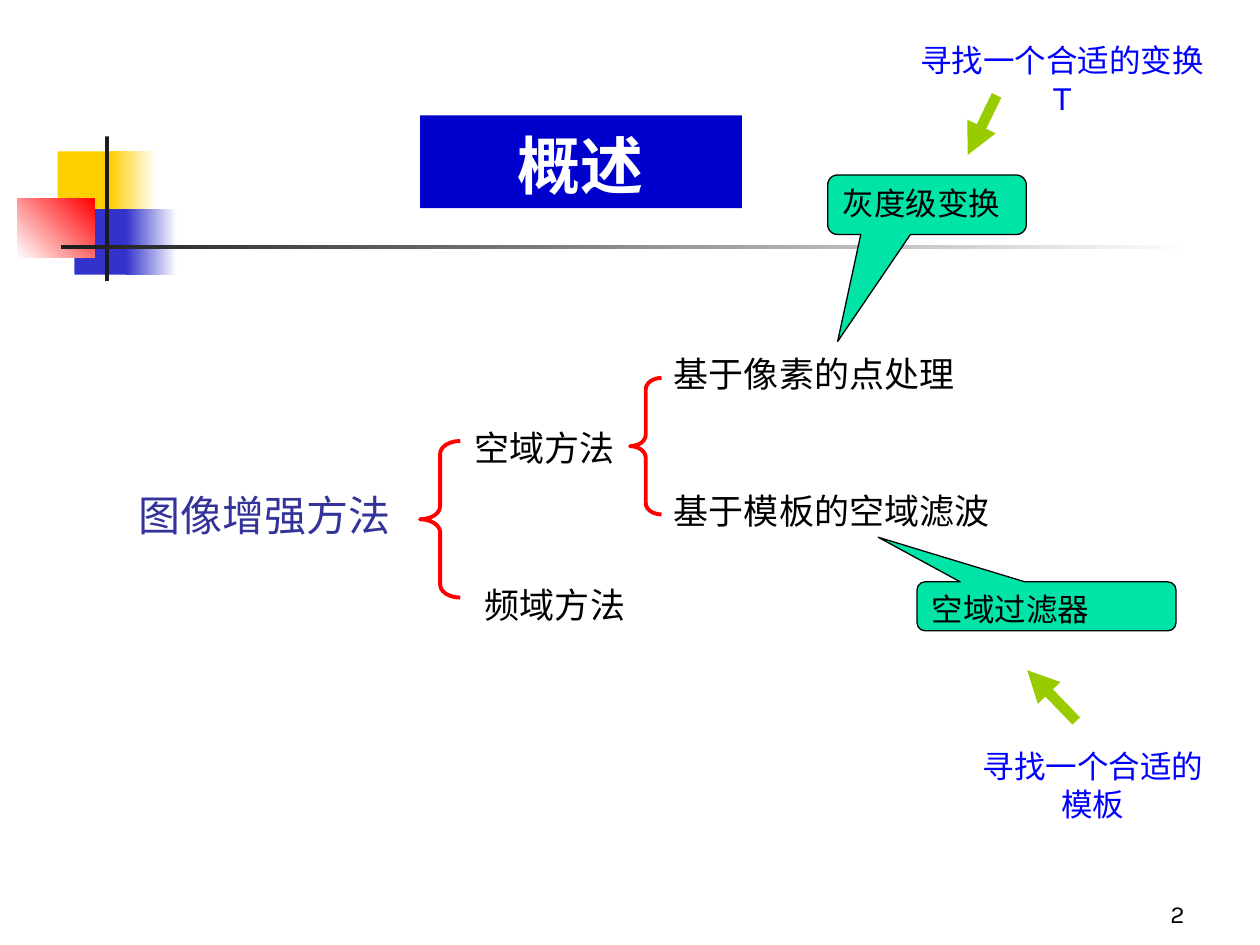
"""Build the overview slide on image enhancement methods."""
from lxml.etree import SubElement
from pptx import Presentation
from pptx.dml.color import RGBColor
from pptx.enum.shapes import MSO_CONNECTOR, MSO_SHAPE
from pptx.enum.text import MSO_ANCHOR, MSO_AUTO_SIZE, PP_ALIGN
from pptx.oxml.ns import qn
from pptx.util import Pt

SANS = "Noto Sans CJK SC"
color = RGBColor.from_string


def place(kind, box):
    shape = shapes.add_shape(kind, *map(Pt, box))
    shape.shadow.inherit = False
    return shape


def write(shape, text, size, tint, face=SANS, align=PP_ALIGN.LEFT, anchor=MSO_ANCHOR.TOP):
    frame = shape.text_frame
    frame.text = text
    frame.word_wrap = True
    frame.auto_size = MSO_AUTO_SIZE.NONE
    frame.vertical_anchor = anchor
    line = frame.paragraphs[0]
    line.alignment = align
    font = line.runs[0].font
    font.size = Pt(size)
    font.name = face
    font.color.rgb = color(tint)
    SubElement(font._element, qn("a:ea")).set("typeface", SANS)
    return line


deck = Presentation()
deck.slide_width, deck.slide_height = Pt(720), Pt(540)
slide = deck.slides.add_slide(deck.slide_layouts[5])
shapes = slide.shapes

bars = [
    ((33, 86.5, 35, 37.5), "FFCF01", None, 0),
    ((63, 86.5, 26, 37.5), "FFCF01", "FFFFFF", 0),
    ((42.5, 119.5, 33, 37.5), "3333CC", None, 0),
    ((72, 119.5, 29, 37.5), "3333CC", "FFFFFF", 0),
    ((10, 113.5, 44, 33.5), "FFFFFF", "FF0000", 45),
    ((60, 78, 2.3, 82.5), "1C1C1C", None, 0),
    ((34.8, 140, 648, 2.5), "1C1C1C", "FFFFFF", 0),
]
for box, start, end, angle in bars:
    bar = place(MSO_SHAPE.RECTANGLE, box)
    bar.line.fill.background()
    if end:
        bar.fill.gradient()
        bar.fill.gradient_angle = angle
        for stop, tint in zip(bar.fill.gradient_stops, (start, end)):
            stop.color.rgb = color(tint)
    else:
        bar.fill.solid()
        bar.fill.fore_color.rgb = color(start)

title = shapes.title
title.left, title.top, title.width, title.height = map(Pt, (240, 66, 184, 53))
title.fill.solid()
title.fill.fore_color.rgb = color("0000CC")
head = write(title, "概述", 36, "FFFFFF", align=PP_ALIGN.CENTER, anchor=MSO_ANCHOR.BOTTOM)
head.runs[0].font.bold = True

labels = [
    ("图像增强方法", (72, 276, 160, 36), 24, "333399"),
    ("空域方法", (264, 240, 114, 31), 20, "000000"),
    ("频域方法", (270, 330, 96, 31), 20, "000000"),
    ("基于像素的点处理", (378, 198, 192, 31), 20, "000000"),
    ("基于模板的空域滤波", (378, 276, 198, 31), 20, "000000"),
]
for text, box, size, tint in labels:
    write(shapes.add_textbox(*map(Pt, box)), text, size, tint)

for box, curve in [((360, 216, 18, 78), 0.36), ((240, 252, 23, 89.5), 0.32)]:
    brace = place(MSO_SHAPE.LEFT_BRACE, box)
    brace.adjustments[0] = curve
    brace.fill.background()
    brace.line.color.rgb = color("FF0000")
    brace.line.width = Pt(2.25)

calls = [
    ("灰度级变换", (473, 100, 113.5, 34), (-0.45, 2.3)),
    ("空域过滤器", (524, 332.5, 148, 28), (-0.65, -1.41)),
]
for text, box, tip in calls:
    call = place(MSO_SHAPE.ROUNDED_RECTANGULAR_CALLOUT, box)
    call.adjustments[0], call.adjustments[1] = tip
    call.fill.solid()
    call.fill.fore_color.rgb = color("00E4A8")
    call.line.color.rgb = color("000000")
    call.line.width = Pt(0.75)
    write(call, text, 18, "000000", "Arial")

notes = [
    ("寻找一个合适的变换T", (513.5, 20, 187, 29), 0),
    ("寻找一个合适的模板", (518, 423.5, 177, 29), 36),
]
for text, box, inset in notes:
    note = shapes.add_textbox(*map(Pt, box))
    line = write(note, text, 18, "0000FF", "Arial", PP_ALIGN.CENTER)
    line._p.get_or_add_pPr().set("marL", str(Pt(inset)))

for ends in [(569.5, 54.5, 553, 88.5), (615, 412, 587, 383)]:
    arrow = shapes.add_connector(MSO_CONNECTOR.STRAIGHT, *map(Pt, ends))
    arrow.line.color.rgb = color("99CC00")
    arrow.line.width = Pt(6)
    SubElement(arrow.line._get_or_add_ln(), qn("a:tailEnd")).set("type", "triangle")
    SubElement(arrow._element.spPr, qn("a:effectLst"))

page = shapes.add_textbox(Pt(534), Pt(498), Pt(150), Pt(36))
write(page, "2", 14, "000000", "Karla", PP_ALIGN.RIGHT, MSO_ANCHOR.BOTTOM)

deck.save("out.pptx")
